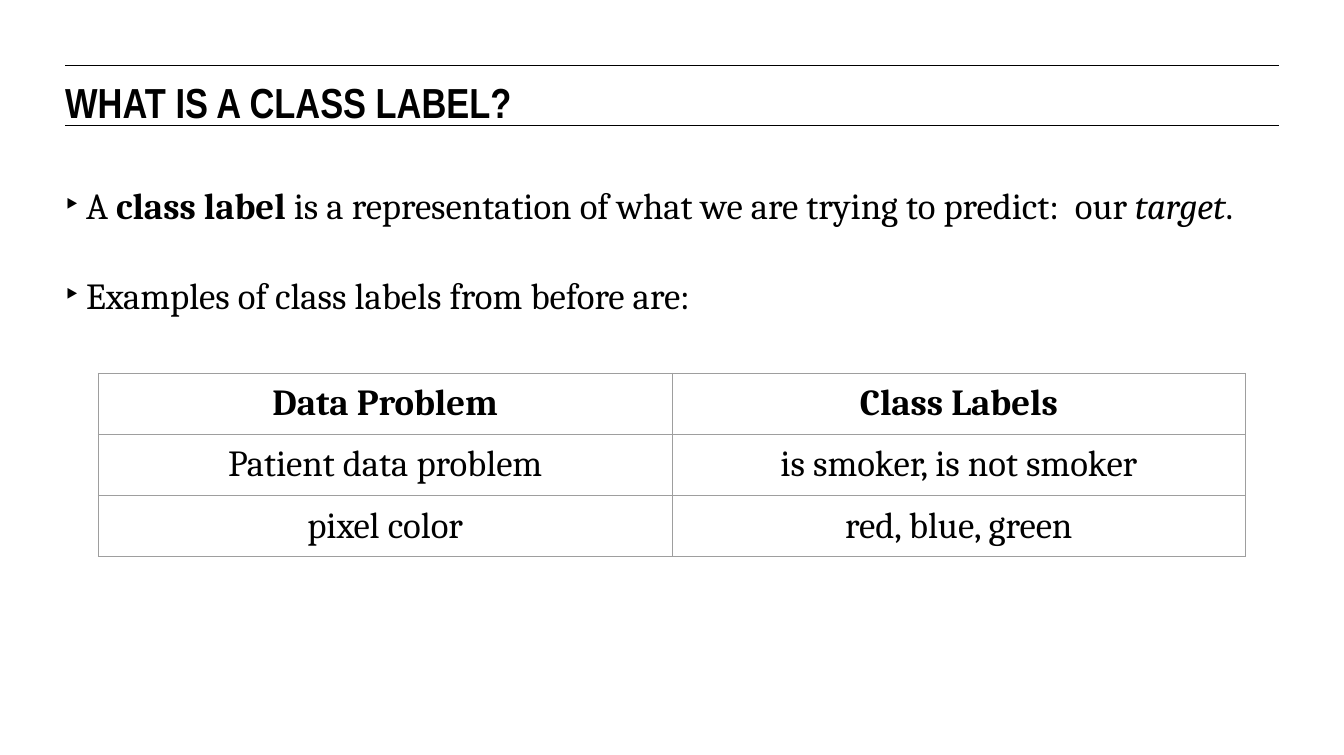
from pptx import Presentation
from pptx import util as u
from pptx.dml.color import RGBColor
from pptx.enum import shapes, text
from pptx.oxml import parse_xml
from pptx.oxml.ns import nsdecls

BLACK = RGBColor(0x00, 0x00, 0x00)
GREY = RGBColor(0x9E, 0x9E, 0x9E)
LEFT, WIDE = 0.69, 12.84


class Deck:
    """Style and current slide, with a method for each kind of element."""
    head = {"name": "Arial Narrow", "size": u.Pt(32), "bold": True}
    base = {"name": "Cambria", "size": u.Pt(28), "bold": False}

    def __init__(self, show):
        self.page = show.slides.add_slide(show.slide_layouts[1])

    def label(self, para, words, style, **more):
        run = para.add_run()
        run.text = words
        for key, val in {**style, **more}.items():
            setattr(run.font, key, val)
        run.font.color.rgb = BLACK

    def place(self, shape, box, inset=0):
        names = ("left", "top", "width", "height")
        for key, val in zip(names, box):
            setattr(shape, key, u.Inches(val))
        frame = shape.text_frame
        look = {"margin_left": 0, "margin_right": 0, "margin_bottom": 0,
                "margin_top": u.Inches(inset), "word_wrap": True,
                "auto_size": text.MSO_AUTO_SIZE.NONE,
                "vertical_anchor": text.MSO_ANCHOR.TOP}
        for key, val in look.items():
            setattr(frame, key, val)
        return frame

    def rule(self, y):
        line = self.page.shapes.add_connector(
            shapes.MSO_CONNECTOR.STRAIGHT, u.Inches(LEFT), u.Inches(y),
            u.Inches(LEFT + WIDE), u.Inches(y))
        line.line.color.rgb = BLACK
        line.line.width = u.Pt(0.75)
        line._element.spPr.append(
            parse_xml(f"<a:effectLst {nsdecls('a')}/>"))

    def title(self, words, box):
        para = self.place(self.page.shapes.title, box).paragraphs[0]
        para.alignment = text.PP_ALIGN.LEFT
        self.label(para, words, self.head)

    def bullets(self, items, box, inset, gap):
        frame = self.place(self.page.placeholders[1], box, inset)
        for i, item in enumerate(items):
            para = frame.add_paragraph() if i else frame.paragraphs[0]
            para.space_before = u.Pt(gap if i else 0)
            props = para._p.get_or_add_pPr()
            props.set("marL", str(u.Inches(0.22)))
            props.set("indent", str(-u.Inches(0.22)))
            for tag in (f'<a:buClr {nsdecls("a")}><a:srgbClr val="{BLACK}"/>'
                        '</a:buClr>',
                        f'<a:buChar {nsdecls("a")} char="\u2023"/>'):
                props.append(parse_xml(tag))
            for words, more in item:
                self.label(para, words, self.base, **more)

    def border(self, cell):
        props = cell._tc.get_or_add_tcPr()
        for side in "LRTB":
            props.append(parse_xml(
                f'<a:ln{side} {nsdecls("a")} w="{u.Pt(0.75)}"><a:solidFill>'
                f'<a:srgbClr val="{GREY}"/></a:solidFill></a:ln{side}>'))

    def table(self, rows, left, top, width, tall):
        grid = self.page.shapes.add_table(
            len(rows), len(rows[0]), u.Inches(left), u.Inches(top),
            u.Inches(width), u.Inches(tall * len(rows))).table
        grid.first_row = grid.horz_banding = False
        for r, row in enumerate(rows):
            for c, words in enumerate(row):
                cell = grid.cell(r, c)
                for side in ("left", "right", "top", "bottom"):
                    setattr(cell, f"margin_{side}", u.Inches(0.1))
                self.border(cell)
                cell.fill.background()
                para = cell.text_frame.paragraphs[0]
                para.alignment = text.PP_ALIGN.CENTER
                self.label(para, words, self.base, bold=r == 0)


show = Presentation()
show.slide_width, show.slide_height = u.Inches(14.22), u.Inches(7.99)
deck = Deck(show)

# Heading between two rules
for y in (0.69, 1.33):
    deck.rule(y)
deck.title("WHAT IS A CLASS LABEL?", (LEFT, 0.81, WIDE, 0.47))

# Definition and lead-in
deck.bullets(
    [[("A ", {}), ("class label", {"bold": True}),
      (" is a representation of what we are trying to predict:  our ", {}),
      ("target", {"italic": True}), (".", {})],
     [("Examples of class labels from before are:", {})]],
    (LEFT, 1.41, WIDE, 4.17), inset=0.52, gap=35)

# Examples
deck.table([("Data Problem", "Class Labels"),
            ("Patient data problem", "is smoker, is not smoker"),
            ("pixel color", "red, blue, green")],
           left=1.04, top=3.95, width=12.14, tall=0.64)

show.save("out.pptx")
